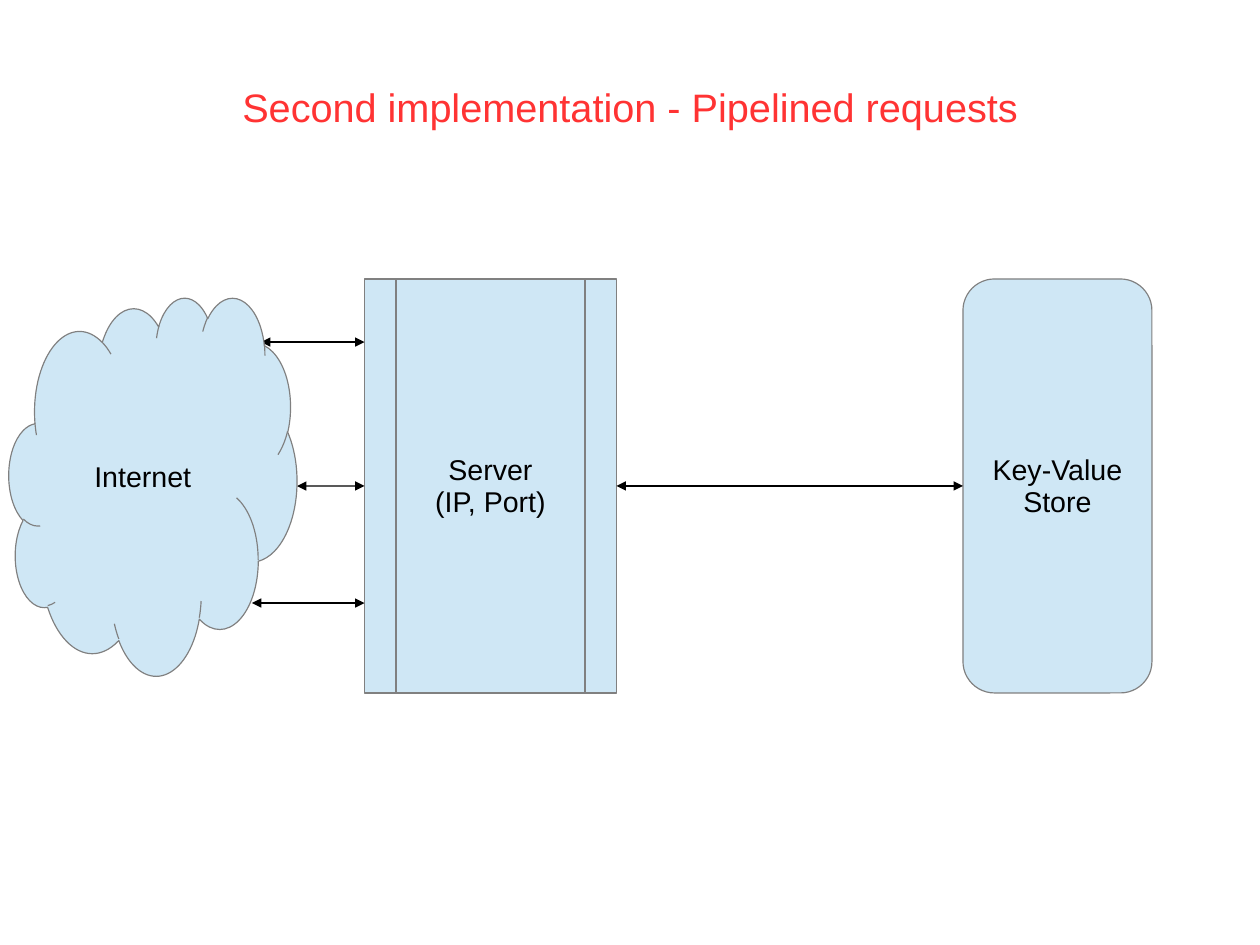
import pptx
import pptx.util
import pptx.dml.color
import pptx.enum.shapes
import pptx.enum.text
import pptx.oxml.ns
import lxml.etree

Cm, Pt = pptx.util.Cm, pptx.util.Pt
RGBColor = pptx.dml.color.RGBColor
SHAPE = pptx.enum.shapes.MSO_SHAPE
ALIGN = pptx.enum.text.PP_ALIGN
ANCHOR = pptx.enum.text.MSO_ANCHOR
qn = pptx.oxml.ns.qn

RED = RGBColor(0xFF, 0x33, 0x33)
BLACK = RGBColor(0, 0, 0)
GRAY = RGBColor(0x80, 0x80, 0x80)
LIGHT_BLUE = RGBColor(0xCF, 0xE7, 0xF5)
FONT = "Arial"

# Content; lengths in cm: left, top, width, height
TITLE = "Second implementation - Pipelined requests"
TITLE_BOX = (5.13, 1.8, 17.75, 1.22)
SERVER = (SHAPE.FLOWCHART_PREDEFINED_PROCESS, (8.1, 6.2, 5.6, 9.2),
          ["Server", "(IP, Port)"])
STORE = (SHAPE.ROUNDED_RECTANGLE, (21.4, 6.2, 4.2, 9.2),
         ["Key-Value", "Store"])
INTERNET = (SHAPE.CLOUD, (0.2, 6.6, 6.4, 8.4), ["Internet"])
# Where the arrows from the server meet the cloud
CLOUD_ENDS = [(5.8, 7.6), (6.6, 10.8), (5.6, 13.4)]


def write(tf, lines, size, color, align):
    tf.word_wrap = False
    tf.auto_size = pptx.enum.text.MSO_AUTO_SIZE.NONE
    for i, line in enumerate(lines):
        p = tf.paragraphs[0] if i == 0 else tf.add_paragraph()
        p.alignment = align
        p.line_spacing = 0.93
        r = p.add_run()
        r.text = line
        r.font.name = FONT
        r.font.size = Pt(size)
        r.font.color.rgb = color


def add_node(s, kind, box, lines):
    sp = s.shapes.add_shape(kind, *map(Cm, box))
    sp.shadow.inherit = False
    sp.fill.solid()
    sp.fill.fore_color.rgb = LIGHT_BLUE
    sp.line.color.rgb = GRAY
    sp.line.width = Pt(0.75)
    tf = sp.text_frame
    tf.vertical_anchor = ANCHOR.MIDDLE
    tf.margin_top, tf.margin_bottom = Cm(0.18), Cm(0.13)
    write(tf, lines, 18, BLACK, ALIGN.CENTER)
    return sp


def add_arrow(s, x1, y1, x2, y2):
    c = s.shapes.add_connector(pptx.enum.shapes.MSO_CONNECTOR.STRAIGHT,
                               Cm(x1), Cm(y1), Cm(x2), Cm(y2))
    c.line.color.rgb = BLACK
    c.line.width = Pt(0.75)
    ln = c.line._get_or_add_ln()
    for end in ("a:headEnd", "a:tailEnd"):
        lxml.etree.SubElement(ln, qn(end), type="triangle")
    lxml.etree.SubElement(c._element.spPr, qn("a:effectLst"))
    return c


def main():
    prs = pptx.Presentation()
    prs.slide_width, prs.slide_height = Cm(28), Cm(21)
    s = prs.slides.add_slide(prs.slide_layouts[5])

    # Title
    title = s.shapes.title
    title.left, title.top, title.width, title.height = map(Cm, TITLE_BOX)
    title.text_frame.vertical_anchor = ANCHOR.TOP
    write(title.text_frame, [TITLE], 25, RED, ALIGN.LEFT)

    # Server and store
    server = add_node(s, *SERVER)
    store = add_node(s, *STORE)

    # Server to store
    left, top, width, height = SERVER[1]
    middle = top + height / 2
    c = add_arrow(s, left + width, middle, STORE[1][0], middle)
    c.begin_connect(server, 3)
    c.end_connect(store, 1)

    # Server to cloud; the cloud lies over the arrow tips
    for x, y in CLOUD_ENDS:
        c = add_arrow(s, left, y, x, y)
        if y == middle:
            c.begin_connect(server, 1)
    add_node(s, *INTERNET)

    prs.save("out.pptx")


if __name__ == "__main__":
    main()
